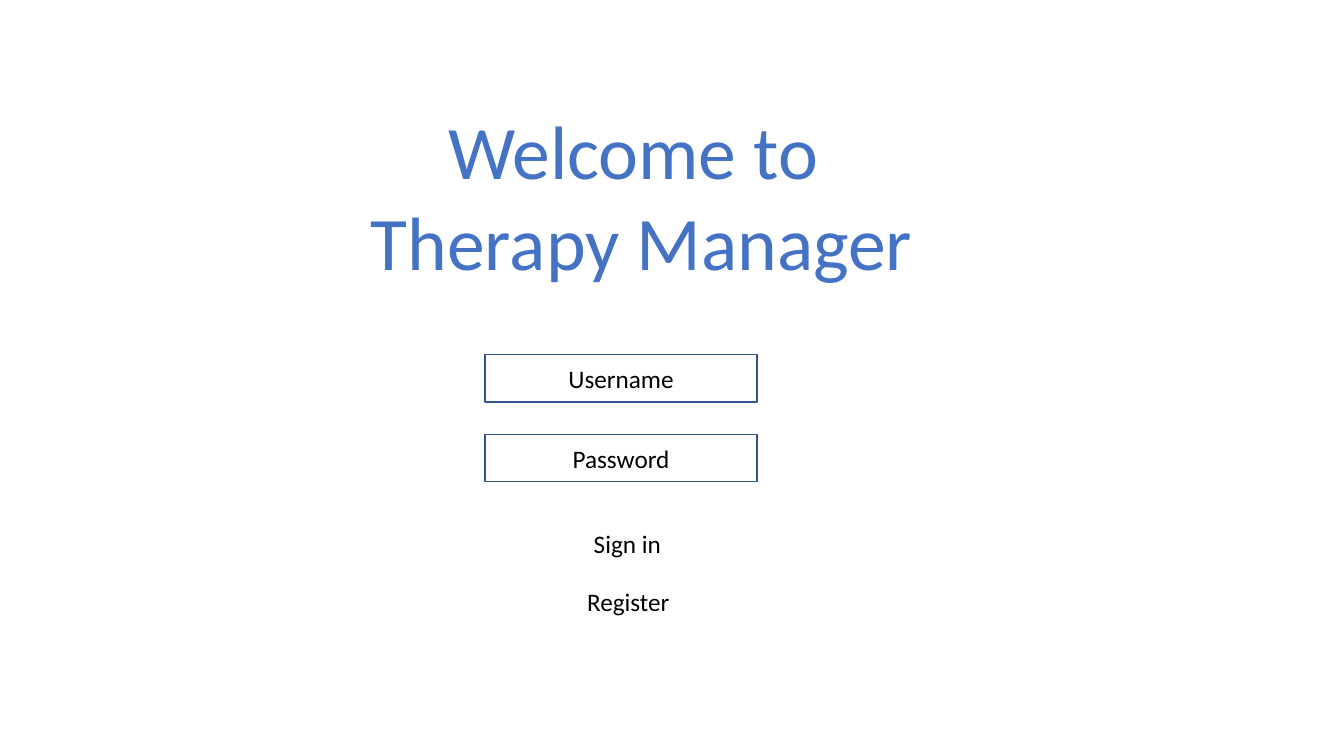
"""Build the sign-in slide of a therapy manager."""
from pptx import Presentation
from pptx.dml.color import RGBColor
from pptx.enum.shapes import MSO_SHAPE
from pptx.enum.text import MSO_ANCHOR, MSO_AUTO_SIZE, PP_ALIGN
from pptx.util import Inches, Pt

RECTANGLE = MSO_SHAPE.RECTANGLE
TOP, MIDDLE = MSO_ANCHOR.TOP, MSO_ANCHOR.MIDDLE
LEFT, CENTER, RIGHT = PP_ALIGN.LEFT, PP_ALIGN.CENTER, PP_ALIGN.RIGHT
FIT_SHAPE = MSO_AUTO_SIZE.SHAPE_TO_FIT_TEXT

WELCOME = ["Welcome to ", "Therapy Manager"]
FIELDS = ["Username", "Password"]
LINKS = [("Sign in", 5.79, 0.88, LEFT), ("Register", 5.71, 1.03, RIGHT)]

COLORS = {"welcome": "4472C4", "text": "000000", "field": "FFFFFF", "border": "325491"}
FONT = "Calibri"
WELCOME_SIZE, BODY_SIZE = 54, 18
WELCOME_BOX = (3.55, 0.98, 5.63, 1.92)
FIELD_LEFT, FIELD_TOP, FIELD_WIDTH, FIELD_HEIGHT, FIELD_STEP = 4.81, 3.52, 2.7, 0.47, 0.79
LINK_TOP, LINK_HEIGHT, LINK_STEP = 5.19, 0.4, 0.58


def color(key):
    return RGBColor.from_string(COLORS[key])


def inches(*lengths):
    return [Inches(length) for length in lengths]


def write(frame, lines, size, color_key, align, anchor, wrap):
    frame.word_wrap = wrap
    frame.vertical_anchor = anchor
    for index, line in enumerate(lines):
        paragraph = frame.add_paragraph() if index else frame.paragraphs[0]
        paragraph.alignment = align
        run = paragraph.add_run()
        run.text = line
        run.font.name = FONT
        run.font.size = Pt(size)
        run.font.color.rgb = color(color_key)


deck = Presentation()
deck.slide_width, deck.slide_height = inches(13.33, 7.5)
slide = deck.slides.add_slide(deck.slide_layouts[5])

welcome = slide.shapes.title
welcome.left, welcome.top, welcome.width, welcome.height = inches(*WELCOME_BOX)
write(welcome.text_frame, WELCOME, WELCOME_SIZE, "welcome", CENTER, TOP, False)
welcome.text_frame.auto_size = FIT_SHAPE

for row, label in enumerate(FIELDS):
    top = FIELD_TOP + row * FIELD_STEP
    field = slide.shapes.add_shape(
        RECTANGLE, *inches(FIELD_LEFT, top, FIELD_WIDTH, FIELD_HEIGHT))
    field.shadow.inherit = False
    field.fill.solid()
    field.fill.fore_color.rgb = color("field")
    field.line.color.rgb = color("border")
    field.line.width = Pt(1)
    write(field.text_frame, [label], BODY_SIZE, "text", CENTER, MIDDLE, True)

for row, (label, left, width, align) in enumerate(LINKS):
    top = LINK_TOP + row * LINK_STEP
    link = slide.shapes.add_textbox(*inches(left, top, width, LINK_HEIGHT))
    write(link.text_frame, [label], BODY_SIZE, "text", align, TOP, False)
    link.text_frame.auto_size = FIT_SHAPE

deck.save("out.pptx")
